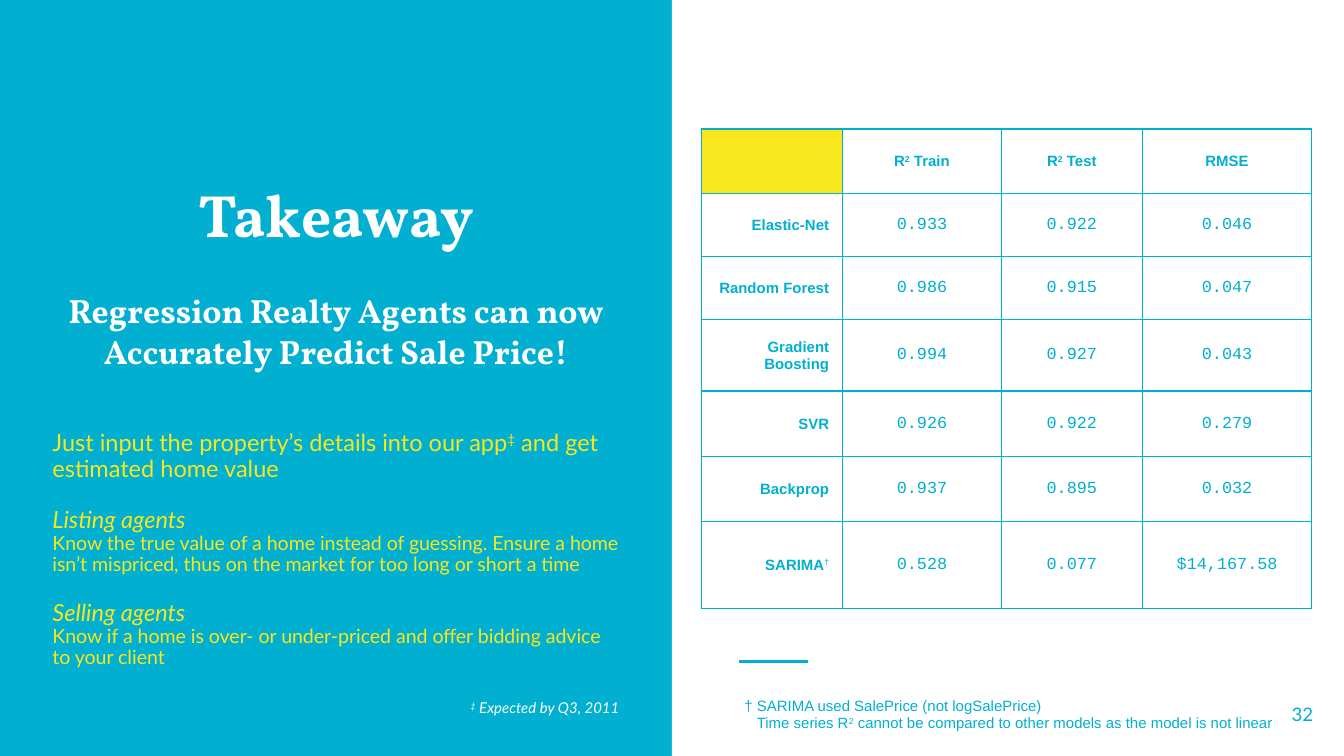
from lxml import etree
from pptx import Presentation
from pptx.dml.color import RGBColor
from pptx.enum.shapes import MSO_CONNECTOR, MSO_SHAPE
from pptx.enum.text import MSO_ANCHOR, MSO_AUTO_SIZE, PP_ALIGN
from pptx.oxml.ns import qn
from pptx.util import Inches, Pt

LEFT, CENTER, RIGHT = PP_ALIGN.LEFT, PP_ALIGN.CENTER, PP_ALIGN.RIGHT
TOP, MIDDLE, BOTTOM = MSO_ANCHOR.TOP, MSO_ANCHOR.MIDDLE, MSO_ANCHOR.BOTTOM
NO_FIT = MSO_AUTO_SIZE.NONE
RECTANGLE, STRAIGHT = MSO_SHAPE.RECTANGLE, MSO_CONNECTOR.STRAIGHT

BLUE, YELLOW, WHITE = "01AFD1", "F8E71C", "FFFFFF"
SERIF, SANS, PLAIN, MONO = "Vollkorn", "Lato", "Arial", "Courier New"
INSET = Inches(0.1)


def color(value):
    return RGBColor.from_string(value)


class SlideBuilder:
    """Draws on one slide with a grid of 100 columns; rows are as tall as columns are wide."""

    def __init__(self, deck):
        self.unit = deck.slide_width / 100
        self.page = deck.slides.add_slide(deck.slide_layouts[0])
        self.fill(self.page.background, BLUE)

    def grid(self, *lengths):
        return [round(length * self.unit) for length in lengths]

    def fill(self, target, value):
        target.fill.solid()
        target.fill.fore_color.rgb = color(value)

    def panel(self, area, value):
        shape = self.page.shapes.add_shape(RECTANGLE, *self.grid(*area))
        shape.shadow.inherit = False
        self.fill(shape, value)
        shape.line.fill.background()

    def rule(self, start, end, value, width):
        line = self.page.shapes.add_connector(STRAIGHT, *self.grid(*start, *end))
        line.line.color.rgb = color(value)
        line.line.width = Pt(width)
        etree.SubElement(line._element.spPr, qn("a:effectLst"))

    def set_para(self, para, text, font, size, value, bold=False, italic=False,
                 align=LEFT, before=0, spacing=1.0, indent=0):
        """Fill a paragraph; the character after each ^ is superscript."""
        para.alignment = align
        para.space_before, para.line_spacing = Pt(before), spacing
        if indent:
            para._p.get_or_add_pPr().set("marL", str(Pt(indent)))
        first, *rest = text.split("^")
        pieces = [(first, False)]
        for part in rest:
            pieces += [(part[0], True), (part[1:], False)]
        for piece, raised in pieces:
            if not piece:
                continue
            span = para.add_run()
            span.text = piece
            span.font.name, span.font.size = font, Pt(size)
            span.font.color.rgb = color(value)
            span.font.bold, span.font.italic = bold and piece != "†", italic
            if raised:
                span._r.get_or_add_rPr().set("baseline", "30000")

    def text(self, area, lines, anchor=TOP, holder=None, **style):
        """Put (text, changes to the style) lines into a placeholder or a new box."""
        place = self.grid(*area)
        if holder is None:
            box = self.page.shapes.add_textbox(*place)
        else:
            box = self.page.placeholders[holder]
            box.left, box.top, box.width, box.height = place
        frame = box.text_frame
        frame.word_wrap, frame.auto_size = True, NO_FIT
        frame.vertical_anchor = anchor
        frame.margin_left = frame.margin_right = INSET
        frame.margin_top = frame.margin_bottom = INSET
        for number, (line, changes) in enumerate(lines):
            para = frame.add_paragraph() if number else frame.paragraphs[0]
            self.set_para(para, line, **{**style, **changes})

    def border(self, cell, value, width):
        props = cell._tc.get_or_add_tcPr()
        for index, side in enumerate(("lnL", "lnR", "lnT", "lnB")):
            edge = etree.Element(qn(f"a:{side}"), w=str(Pt(width)))
            paint = etree.SubElement(edge, qn("a:solidFill"))
            etree.SubElement(paint, qn("a:srgbClr"), val=value)
            props.insert(index, edge)

    def table(self, left, top, widths, heights, rows):
        area = self.grid(left, top, sum(widths), sum(heights))
        table = self.page.shapes.add_table(len(rows), len(widths), *area).table
        table.first_row = table.horz_banding = False
        for column, width in zip(table.columns, self.grid(*widths)):
            column.width = width
        for row, height in zip(table.rows, self.grid(*heights)):
            row.height = height
        for r, row in enumerate(rows):
            for c, text in enumerate(row):
                cell = table.cell(r, c)
                self.fill(cell, WHITE if text else YELLOW)
                self.border(cell, BLUE, 0.75)
                if not text:
                    continue
                cell.vertical_anchor = MIDDLE
                cell.margin_left = cell.margin_right = INSET
                cell.margin_top = cell.margin_bottom = INSET
                label = r == 0 or c == 0
                self.set_para(cell.text_frame.paragraphs[0], text,
                              PLAIN if label else MONO, 8 if label else 9, BLUE,
                              bold=label, align=CENTER if c else RIGHT)


def main():
    deck = Presentation()
    deck.slide_width = Inches(10)
    deck.slide_height = deck.slide_width * 9 // 16
    slide = SlideBuilder(deck)

    # Right half and its short accent line
    slide.panel((50, 0, 50, 56.25), WHITE)
    slide.rule((55, 49.2), (60.1, 49.2), BLUE, 1.5)

    # Title and message
    slide.text((2.9, 9.9, 44.2, 18.7), [
        ("Takeaway", {"size": 32}),
        ("Regression Realty Agents can now Accurately Predict Sale Price!",
         {"size": 18, "before": 22}),
    ], BOTTOM, holder=0, font=SERIF, value=WHITE, bold=True, align=CENTER)

    # Benefits by audience
    heading = {"size": 12.6, "italic": True, "before": 13.6}
    slide.text((2.9, 31.1, 44.2, 19.9), [
        ("Just input the property’s details into our app^‡ and get estimated home value",
         {"size": 12.6}),
        ("Listing agents", heading),
        ("Know the true value of a home instead of guessing. Ensure a home isn’t "
         "mispriced, thus on the market for too long or short a time", {}),
        ("Selling agents", heading),
        ("Know if a home is over- or under-priced and offer bidding advice to your client", {}),
    ], holder=1, font=SANS, size=10.5, value=YELLOW, spacing=0.9)

    # Model scores
    slide.table(52.2, 9.6, [10.5, 11.8, 10.5, 12.6],
                [4.8, 4.7, 4.7, 5.3, 4.9, 4.8, 6.5], [
        ("", "R^2 Train", "R^2 Test", "RMSE"),
        ("Elastic-Net", "0.933", "0.922", "0.046"),
        ("Random Forest", "0.986", "0.915", "0.047"),
        ("Gradient Boosting", "0.994", "0.927", "0.043"),
        ("SVR", "0.926", "0.922", "0.279"),
        ("Backprop", "0.937", "0.895", "0.032"),
        ("SARIMA^†", "0.528", "0.077", "$14,167.58"),
    ])

    # Footnotes and page number
    slide.text((29.8, 51, 17.3, 3.4), [("^‡ Expected by Q3, 2011", {})],
               font=SANS, size=8, value=WHITE, italic=True, align=RIGHT)
    slide.text((54.4, 50.8, 42.1, 4.7), [
        ("† SARIMA used SalePrice (not logSalePrice)", {}),
        ("Time series R^2 cannot be compared to other models as the model is not linear",
         {"indent": 6.67}),
    ], font=PLAIN, size=8, value=BLUE)
    slide.text((92.7, 51, 6, 4.3), [("32", {})], MIDDLE,
               font=SANS, size=10, value=BLUE, align=RIGHT)

    deck.save("out.pptx")


if __name__ == "__main__":
    main()
